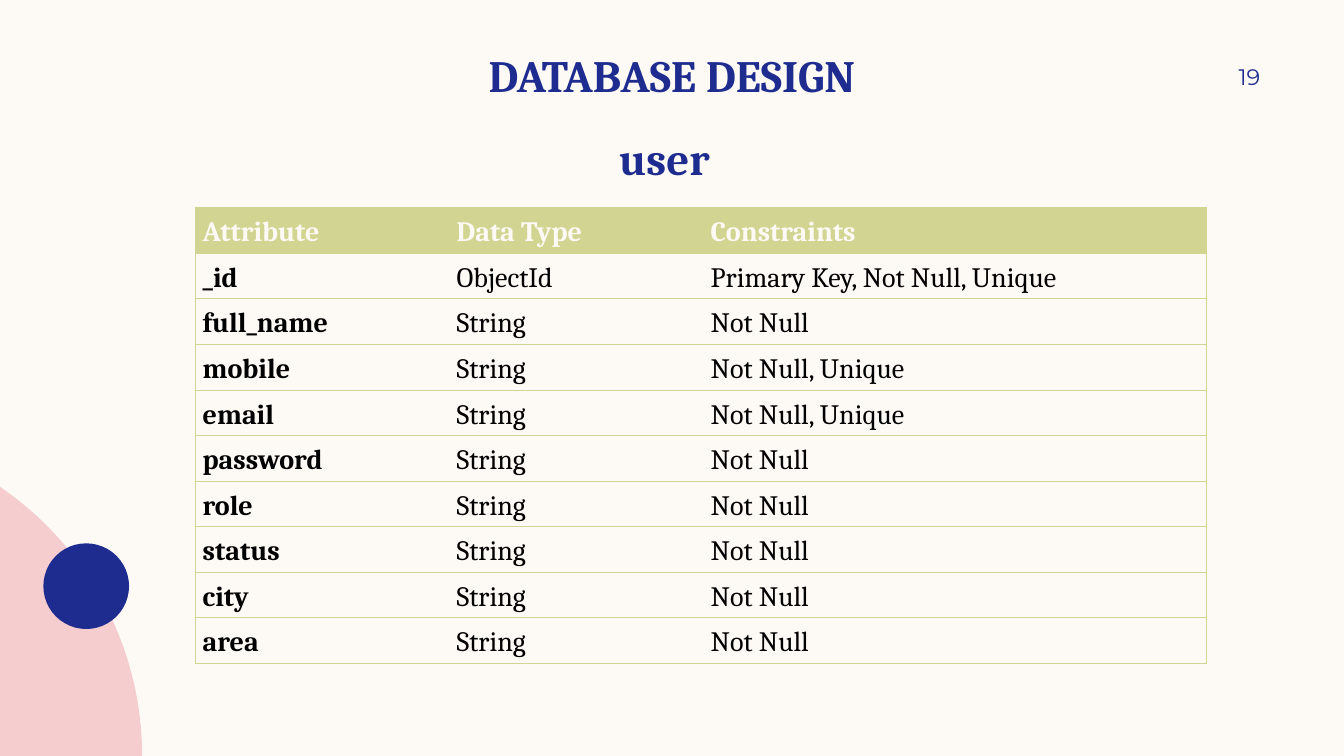
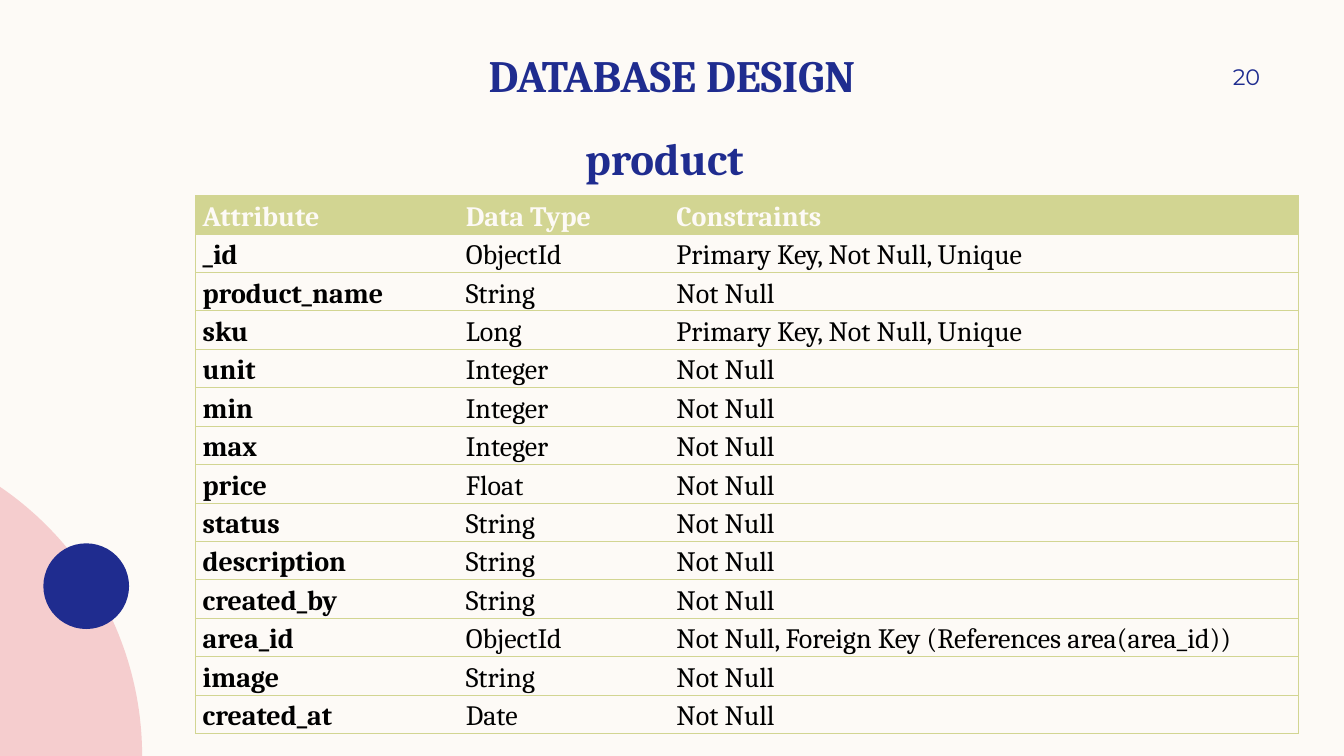
from dataclasses import dataclass
from math import atan2, cos, pi, sin

from lxml.etree import SubElement as Sub
from pptx import Presentation
from pptx.dml.color import RGBColor as RGB
from pptx.enum.shapes import MSO_SHAPE as Shape
from pptx.enum.text import MSO_ANCHOR as Anchor, MSO_AUTO_SIZE as Auto, PP_ALIGN as Align
from pptx.oxml.ns import qn
from pptx.util import Pt

PX = 9144  # 100 px to the inch
WIDE, HIGH = 1333, 750


@dataclass(frozen=True)
class Theme:
    paper: str = "FDFAF6"
    navy: str = "1F2C8F"
    pink: str = "F5CDCE"
    green: str = "D2D592"
    ink: str = "000000"
    serif: str = "Cambria"
    sans: str = "Montserrat"
    head: int = 32
    cell: int = 20
    page: int = 16
    rule: float = 0.5


T = Theme()


def emu(*vals):
    return [round(v * PX) for v in vals]


def paint(shape, color):
    shape.fill.solid()
    shape.fill.fore_color.rgb = RGB.from_string(color)
    shape.line.fill.background()
    shape.shadow.inherit = False


def write(frame, text, size, color, face=T.serif, bold=False, align=Align.LEFT):
    frame.text = text
    para = frame.paragraphs[0]
    para.alignment = align
    font = para.runs[0].font
    font.name, font.size, font.bold = face, Pt(size), bold
    font.color.rgb = RGB.from_string(color)
    return para


def place(shape, box, anchor, pads):
    shape.left, shape.top, shape.width, shape.height = emu(*box)
    frame = shape.text_frame
    frame.word_wrap, frame.auto_size = True, Auto.NONE
    frame.vertical_anchor = anchor
    (frame.margin_left, frame.margin_top,
     frame.margin_right, frame.margin_bottom) = emu(*pads)
    return frame


# Corner: part of a large disc with a small dot on its edge
def corner(slide, box):
    x, y, w, h = box
    rad = (w * w + h * h) / (2 * w)
    if h > w:  # centre lies left of the box, on its base line
        mid = x + w - rad
    else:
        mid = x
    turn = atan2(h, x - mid)
    steps = 48
    arc = [(mid + rad * cos(turn * i / steps), y + h - rad * sin(turn * i / steps))
           for i in range(steps + 1)]
    pen = slide.shapes.build_freeform(*emu(x, y + h), scale=1.0)
    pen.add_line_segments([emu(*p) for p in arc], close=True)
    paint(pen.convert_to_shape(), T.pink)
    dot = slide.shapes.add_shape(Shape.OVAL, *emu(x + 43, y + 56, 85, 85))
    paint(dot, T.navy)


# Heading: title, page number and name of the collection
def heading(slide, box, page, name):
    x, y, w, h = box
    frame = place(slide.shapes.title, box, Anchor.BOTTOM, (10, 0, 10, 0))
    write(frame, "DATABASE DESIGN", T.head, T.navy, bold=True, align=Align.CENTER)

    num = slide.shapes.add_textbox(0, 0, 0, 0)
    frame = place(num, (x + w - 200, y + 5, 117, 52), Anchor.MIDDLE, (10, 5, 0, 5))
    write(frame, str(page), T.page, T.navy, T.sans, align=Align.RIGHT)

    sub = slide.shapes.add_textbox(0, 0, 0, 0)
    frame = place(sub, (x + 177, y + 85, 964, h), Anchor.TOP, (10, 0, 10, 0))
    write(frame, name, T.head, T.navy, bold=True, align=Align.CENTER)


def edges(cell, first, last):
    props = cell._tc.get_or_add_tcPr()
    shown = {"a:lnL": first, "a:lnR": last, "a:lnT": True, "a:lnB": True}
    for i, (tag, on) in enumerate(shown.items()):
        line = Sub(props, qn(tag), w=str(Pt(T.rule)))
        if on:
            Sub(Sub(line, qn("a:solidFill")), qn("a:srgbClr"), val=T.green)
        else:
            Sub(line, qn("a:noFill"))
        props.insert(i, line)


# Table: one row for each field, under a green header
def grid(slide, box, cols, rows):
    rows = [("Attribute", "Data Type", "Constraints"), *rows]
    table = slide.shapes.add_table(len(rows), len(cols), *emu(*box)).table
    table.horz_banding = False
    for col, wide in zip(table.columns, emu(*cols)):
        col.width = wide
    for r, row in enumerate(rows):
        table.rows[r].height = round(box[3] * PX / len(rows))
        for c, text in enumerate(row):
            cell = table.cell(r, c)
            cell.vertical_anchor = Anchor.MIDDLE
            cell.margin_left, cell.margin_right = emu(7, 7)
            cell.margin_top = cell.margin_bottom = 0
            if r:
                cell.fill.background()
            else:
                cell.fill.solid()
                cell.fill.fore_color.rgb = RGB.from_string(T.green)
            edges(cell, c == 0, c == len(cols) - 1)
            para = write(cell.text_frame, text, T.cell, T.ink if r else T.paper,
                         bold=r == 0 or c == 0)
            para.line_spacing = 1.15


def schema(deck, page, name, top, high, cols, rows):
    slide = deck.slides.add_slide(deck.slide_layouts[5])
    corner(slide, (0, 483, 141, 267))
    heading(slide, (0, 45, WIDE, 56), page, name)
    grid(slide, (194, top, sum(cols), high), cols, rows)


NEED = "Not Null"
ONE = "Not Null, Unique"
KEY = "Primary Key, Not Null, Unique"

USER = [
    ("_id", "ObjectId", KEY),
    ("full_name", "String", NEED),
    ("mobile", "String", ONE),
    ("email", "String", ONE),
    *[(name, "String", NEED) for name in ("password", "role", "status", "city", "area")],
]
GOODS = [
    ("_id", "ObjectId", KEY),
    ("product_name", "String", NEED),
    ("sku", "Long", KEY),
    *[(name, "Integer", NEED) for name in ("unit", "min", "max")],
    ("price", "Float", NEED),
    *[(name, "String", NEED) for name in ("status", "description", "created_by")],
    ("area_id", "ObjectId", "Not Null, Foreign Key (References area(area_id))"),
    ("image", "String", NEED),
    ("created_at", "Date", NEED),
]


def main():
    deck = Presentation()
    deck.slide_width, deck.slide_height = emu(WIDE, HIGH)
    back = deck.slide_master.background.fill
    back.solid()
    back.fore_color.rgb = RGB.from_string(T.paper)
    schema(deck, 19, "user", 206, 452, (252, 252, 499), USER)
    schema(deck, 20, "product", 194, 534, (261, 209, 624), GOODS)
    deck.save("out.pptx")


if __name__ == "__main__":
    main()
